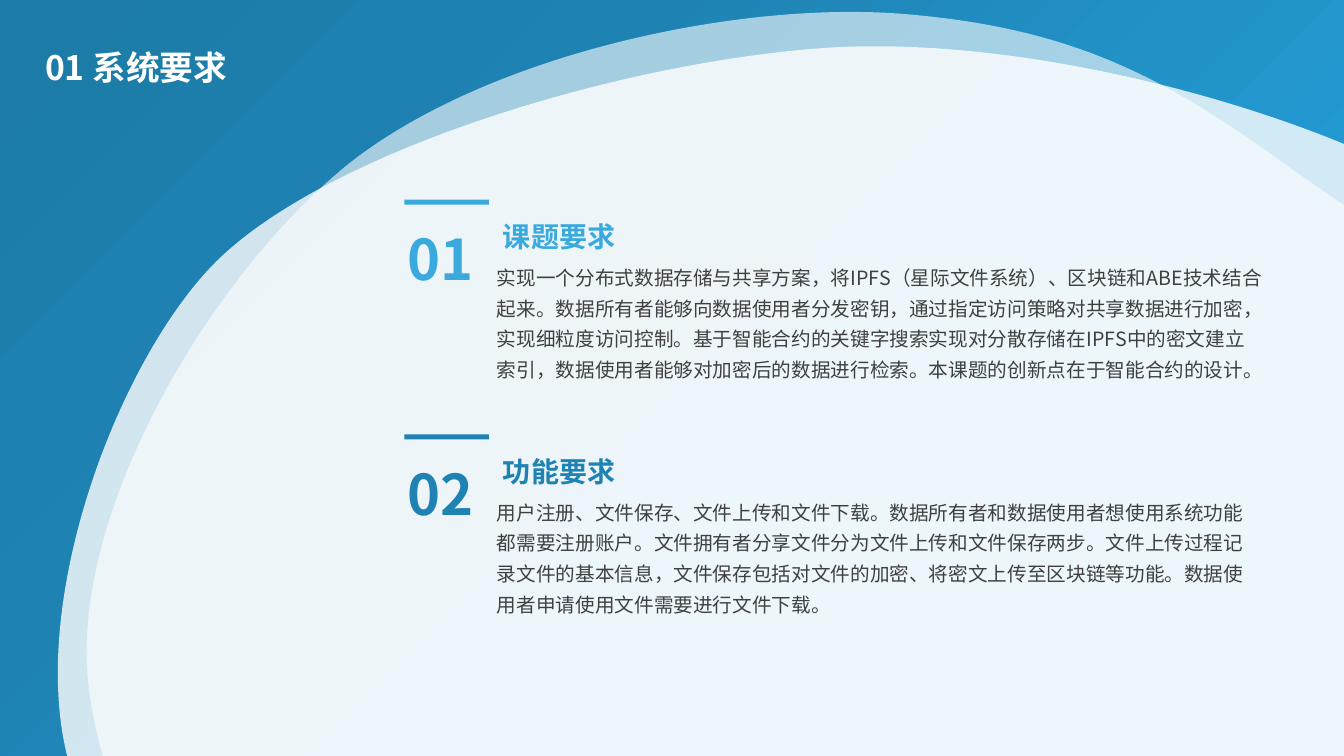
from math import cos, radians, sin

from lxml.etree import SubElement
from pptx import Presentation
from pptx.dml.color import RGBColor
from pptx.enum.shapes import MSO_SHAPE
from pptx.enum.text import MSO_ANCHOR, MSO_AUTO_SIZE
from pptx.oxml.ns import qn
from pptx.util import Inches, Pt

WIDTH, HEIGHT = 13.33, 7.5
LIGHT_BLUE, DARK_BLUE, WHITE, GRAY = "39A9DE", "1E83B3", "FFFFFF", "404040"
BACKGROUND_STOPS = [(0, "239CD5"), (23, "239CD5"), (69, DARK_BLUE), (97, "1C7BA7")]

BACK_WAVE = (12.72, 1.61), [
    [(11.55, 0.77), (10.65, 0.28), (8.98, 0.14)],
    [(7.31, 0), (4.8, 0.55), (3.44, 1.64)],
    [(2.09, 2.74), (0.73, 5.04), (0.87, 6.71)],
    [(1, 8.38), (2.89, 12.02), (4.86, 12.92)],
    [(6.83, 13.81), (12.43, 13.78), (14.29, 12.49)],
    [(16.15, 11.21), (16.14, 6.87), (16.01, 5.2)],
    [(15.87, 3.53), (13.89, 2.46), (12.72, 1.61)],
]
FRONT_WAVE = (16.53, 4.46), [
    [(16.12, 3.42), (15.7, 2.72), (14.32, 1.91)],
    [(12.94, 1.1), (10.29, 0.36), (8.27, 0.47)],
    [(6.24, 0.59), (3.29, 1.47), (2.15, 2.59)],
    [(1.02, 3.71), (-0.06, 6.84), (1.02, 8.27)],
    [(2.09, 9.69), (7.09, 12.09), (9.71, 12.07)],
    [(12.33, 12.06), (15.6, 9.29), (16.74, 8.17)],
    [(17.88, 7.05), (16.93, 5.51), (16.53, 4.46)],
]
SECTIONS = [
    ("01", "课题要求", LIGHT_BLUE,
     "实现一个分布式数据存储与共享方案，将IPFS（星际文件系统）、区块链和ABE技术结合起来。"
     "数据所有者能够向数据使用者分发密钥，通过指定访问策略对共享数据进行加密，实现细粒度访问控制。"
     "基于智能合约的关键字搜索实现对分散存储在IPFS中的密文建立索引，"
     "数据使用者能够对加密后的数据进行检索。本课题的创新点在于智能合约的设计。"),
    ("02", "功能要求", DARK_BLUE,
     "用户注册、文件保存、文件上传和文件下载。数据所有者和数据使用者想使用系统功能都需要注册账户。"
     "文件拥有者分享文件分为文件上传和文件保存两步。文件上传过程记录文件的基本信息，"
     "文件保存包括对文件的加密、将密文上传至区块链等功能。数据使用者申请使用文件需要进行文件下载。"),
]
SECTION_TOP, SECTION_STEP = 1.98, 2.33


def color(value):
    return RGBColor.from_string(value)


class SlideBuilder:
    font_name = "Noto Sans CJK SC"

    def __init__(self, slide):
        self.slide = slide

    def rectangle(self, left, top, width, height, fill):
        shape = self.slide.shapes.add_shape(
            MSO_SHAPE.RECTANGLE, Inches(left), Inches(top), Inches(width), Inches(height))
        self.finish(shape, fill)
        return shape

    def finish(self, shape, fill):
        shape.shadow.inherit = False
        shape.fill.solid()
        shape.fill.fore_color.rgb = color(fill)
        shape.line.fill.background()

    def background(self, stops, angle):
        shape = self.rectangle(0, 0, WIDTH, HEIGHT, WHITE)
        shape.fill.gradient()
        shape.fill.gradient_angle = angle
        stop_list = shape._element.spPr.find(".//" + qn("a:gsLst"))
        stop_list.clear()
        for position, value in stops:
            stop = SubElement(stop_list, qn("a:gs"), pos=str(position * 1000))
            SubElement(stop, qn("a:srgbClr"), val=value)

    def wave(self, outline, left, top, width, height, rotation, opacity):
        start, segments = outline
        cosine, sine = cos(radians(rotation)), sin(radians(rotation))

        def local(point):
            x, y = point[0] - left - width / 2, point[1] - top - height / 2
            return (Inches(x * cosine + y * sine + width / 2),
                    Inches(y * cosine - x * sine + height / 2))

        builder = self.slide.shapes.build_freeform(*local(start))
        builder.add_line_segments([local(segment[-1]) for segment in segments], close=True)
        shape = builder.convert_to_shape()
        shape.left, shape.top = Inches(left), Inches(top)
        shape.width, shape.height = Inches(width), Inches(height)
        shape.rotation = rotation
        self.finish(shape, WHITE)
        properties = shape._element.spPr
        outline_path = properties.find(".//" + qn("a:pathLst"))[0]
        outline_path.clear()
        outline_path.set("w", str(Inches(width)))
        outline_path.set("h", str(Inches(height)))
        for command, points in [("a:moveTo", [start])] + [("a:cubicBezTo", s) for s in segments]:
            element = SubElement(outline_path, qn(command))
            for x, y in map(local, points):
                SubElement(element, qn("a:pt"), x=str(x), y=str(y))
        SubElement(outline_path, qn("a:close"))
        fill_color = properties.find(qn("a:solidFill") + "/" + qn("a:srgbClr"))
        SubElement(fill_color, qn("a:alpha"), val=str(opacity * 1000))

    def text(self, left, top, width, height, content, size, fill, bold=False, wrap=False,
             line_spacing=1.3, space_before=0, anchor=MSO_ANCHOR.TOP,
             auto_size=MSO_AUTO_SIZE.SHAPE_TO_FIT_TEXT):
        box = self.slide.shapes.add_textbox(Inches(left), Inches(top), Inches(width), Inches(height))
        frame = box.text_frame
        frame.word_wrap = wrap
        frame.auto_size = auto_size
        frame.vertical_anchor = anchor
        paragraph = frame.paragraphs[0]
        paragraph.text = content
        paragraph.line_spacing = line_spacing
        paragraph.space_before = Pt(space_before)
        font = paragraph.font
        font.name = self.font_name
        font.size = Pt(size)
        font.bold = bold
        font.color.rgb = color(fill)
        SubElement(font._element, qn("a:ea"), typeface=self.font_name)

    def section(self, top, number, heading, accent, body):
        self.rectangle(4.01, top, 0.84, 0.05, accent)
        self.text(4.83, top + 0.54, 7.79, 1.3, body, 14, GRAY, wrap=True)
        self.text(4.89, top + 0.05, 1.32, 0.5, heading, 20, accent, bold=True)
        self.text(3.94, top, 0.89, 0.98, number, 40, accent, bold=True)


def main():
    presentation = Presentation()
    presentation.slide_width = Inches(WIDTH)
    presentation.slide_height = Inches(HEIGHT)
    builder = SlideBuilder(presentation.slides.add_slide(presentation.slide_layouts[6]))
    builder.background(BACKGROUND_STOPS, 135)
    builder.wave(BACK_WAVE, 1.7, -0.55, 14.18, 15.41, 315, 60)
    builder.wave(FRONT_WAVE, 0.56, 0.42, 16.6, 11.74, 352.9, 80)
    builder.text(0.35, 0.29, 5.8, 0.79, "01 系统要求", 24, WHITE, bold=True, wrap=True,
                 line_spacing=0.9, space_before=10, anchor=MSO_ANCHOR.MIDDLE,
                 auto_size=MSO_AUTO_SIZE.NONE)
    for index, section in enumerate(SECTIONS):
        builder.section(SECTION_TOP + index * SECTION_STEP, *section)
    presentation.save("out.pptx")


if __name__ == "__main__":
    main()
